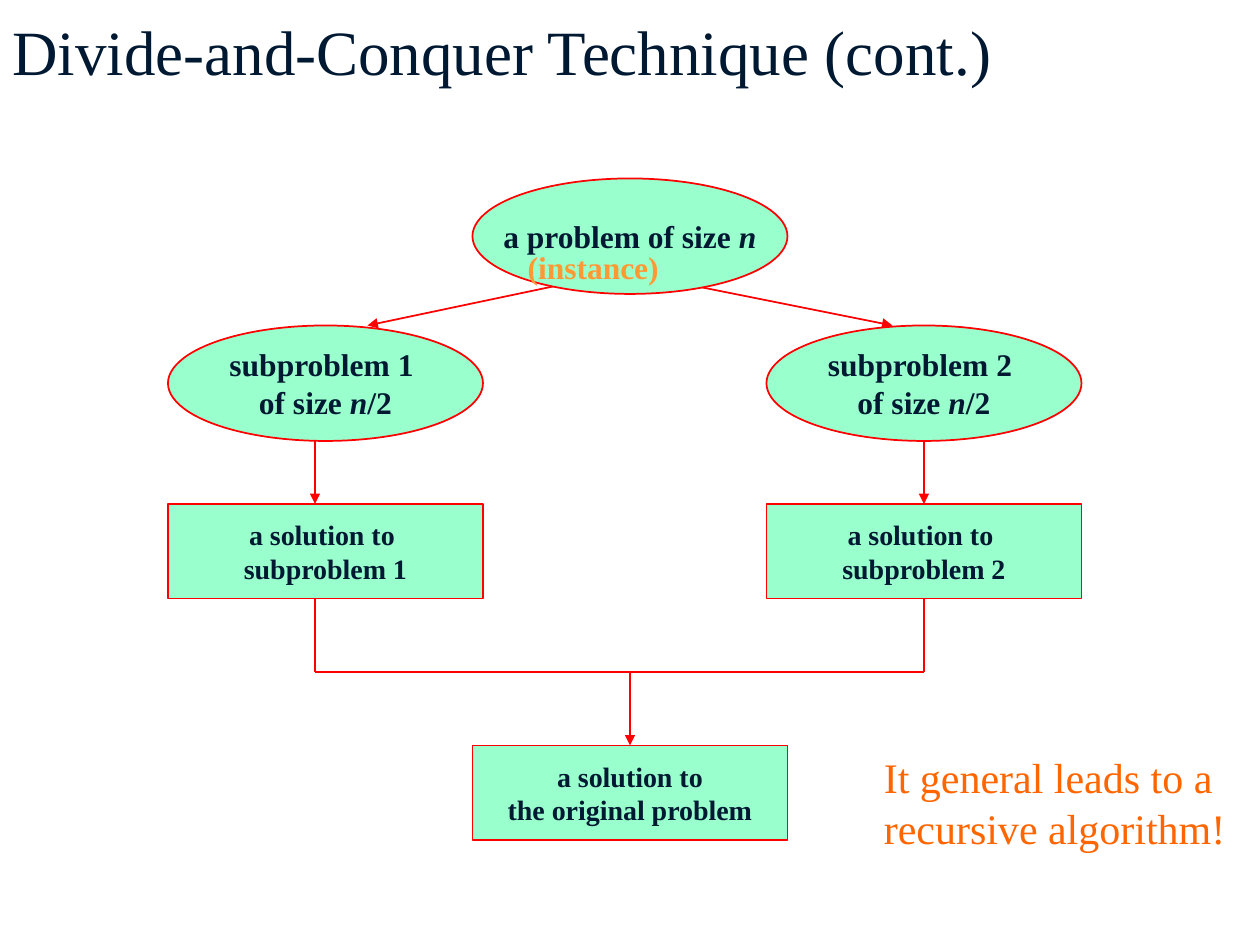
from lxml.etree import SubElement
from pptx import Presentation
from pptx.dml.color import RGBColor
from pptx.enum.shapes import MSO_CONNECTOR, MSO_SHAPE
from pptx.enum.text import MSO_ANCHOR, PP_ALIGN
from pptx.oxml.ns import qn
from pptx.util import Inches, Pt

NAVY = RGBColor(0x00, 0x19, 0x32)
MINT = RGBColor(0x99, 0xFF, 0xCC)
RED = RGBColor(0xFF, 0x00, 0x00)
AMBER = RGBColor(0xFF, 0x99, 0x33)
ORANGE = RGBColor(0xFF, 0x66, 0x00)

# The slide is a grid of 120 columns by 90 rows.
UNIT = Inches(10) // 120
NODE_WIDTH, OVAL_HEIGHT, BOX_HEIGHT = 30, 11, 9
LEFT, MIDDLE, RIGHT = 16, 45, 73
ROOT_TOP, SUBPROBLEM_TOP, SOLUTION_TOP, JOIN_ROW, RESULT_TOP = 17, 31, 48, 64, 71
LEFT_STEM, MIDDLE_STEM, RIGHT_STEM = 30, 60, 88

presentation = Presentation()
presentation.slide_width = 120 * UNIT
presentation.slide_height = 90 * UNIT
slide = presentation.slides.add_slide(presentation.slide_layouts[6])
shapes = slide.shapes


def write(shape, lines, size, color, bold=False, align=PP_ALIGN.CENTER,
          anchor=MSO_ANCHOR.MIDDLE, wrap=False):
    """Fill a shape with lines, each a list of runs; the run "n" is italic."""
    frame = shape.text_frame
    frame.word_wrap = wrap
    frame.vertical_anchor = anchor
    for index, runs in enumerate(lines):
        paragraph = frame.add_paragraph() if index else frame.paragraphs[0]
        paragraph.alignment = align
        for text in runs:
            run = paragraph.add_run()
            run.text = text
            font = run.font
            font.name, font.size, font.bold = "Times New Roman", Pt(size), bold
            font.italic = text == "n"
            font.color.rgb = color


def connect(x1, y1, x2, y2, arrow=False):
    line = shapes.add_connector(MSO_CONNECTOR.STRAIGHT, *(v * UNIT for v in (x1, y1, x2, y2)))
    line.line.color.rgb = RED
    line.line.width = Pt(1)
    if arrow:
        SubElement(line.line._get_or_add_ln(), qn("a:tailEnd"), type="triangle")
    SubElement(line._element.spPr, qn("a:effectLst"))
    return line


title = shapes.add_textbox(0, 0, 108 * UNIT, 9 * UNIT)
write(title, [["Divide-and-Conquer Technique (cont.)"]], 36, NAVY,
      align=PP_ALIGN.LEFT, anchor=MSO_ANCHOR.BOTTOM, wrap=True)

# Arrows from the problem to its subproblems lie behind the ovals.
connect(54, 27, 35, SUBPROBLEM_TOP, arrow=True)
connect(65, 27, 85, SUBPROBLEM_TOP, arrow=True)

ovals = [
    (RIGHT, SUBPROBLEM_TOP, [["subproblem 2 "], ["of size ", "n", "/2"]]),
    (LEFT, SUBPROBLEM_TOP, [["subproblem 1 "], ["of size ", "n", "/2"]]),
    (MIDDLE, ROOT_TOP, [["a problem of size ", "n"]]),
]
boxes = [
    (LEFT, SOLUTION_TOP, [["a solution to "], ["subproblem 1"]]),
    (MIDDLE, RESULT_TOP, [["a solution to"], ["the original problem"]]),
    (RIGHT, SOLUTION_TOP, [["a solution to "], ["subproblem 2"]]),
]
solutions = {}
for kind, height, size, nodes in (
    (MSO_SHAPE.OVAL, OVAL_HEIGHT, 18, ovals),
    (MSO_SHAPE.RECTANGLE, BOX_HEIGHT, 16, boxes),
):
    for column, row, lines in nodes:
        node = shapes.add_shape(kind, column * UNIT, row * UNIT, NODE_WIDTH * UNIT, height * UNIT)
        node.shadow.inherit = False
        node.fill.solid()
        node.fill.fore_color.rgb = MINT
        node.line.color.rgb = RED
        node.line.width = Pt(1)
        write(node, lines, size, NAVY, bold=True)
        if kind == MSO_SHAPE.RECTANGLE:
            solutions[column] = node

# Each subproblem leads to its solution, and the solutions join below.
for stem in (LEFT_STEM, RIGHT_STEM):
    solving = connect(stem, SUBPROBLEM_TOP + OVAL_HEIGHT, stem, SOLUTION_TOP, arrow=True)
    joining = connect(stem, SOLUTION_TOP + BOX_HEIGHT - 2 + 2, stem, JOIN_ROW)
    if stem == RIGHT_STEM:
        solving.end_connect(solutions[RIGHT], 0)
        joining.begin_connect(solutions[RIGHT], 2)
connect(LEFT_STEM, JOIN_ROW, RIGHT_STEM, JOIN_ROW)
combining = connect(MIDDLE_STEM, JOIN_ROW, MIDDLE_STEM, RESULT_TOP, arrow=True)
combining.end_connect(solutions[MIDDLE], 0)

instance = shapes.add_textbox(47 * UNIT, 23 * UNIT, 19 * UNIT, 5 * UNIT)
write(instance, [["(instance)"]], 18, AMBER, bold=True, anchor=MSO_ANCHOR.TOP, wrap=True)

remark = shapes.add_textbox(83 * UNIT, RESULT_TOP * UNIT, 36 * UNIT, 11 * UNIT)
write(remark, [["It general leads to a recursive algorithm!"]], 24, ORANGE,
      align=PP_ALIGN.LEFT, anchor=MSO_ANCHOR.TOP, wrap=True)

presentation.save("out.pptx")
